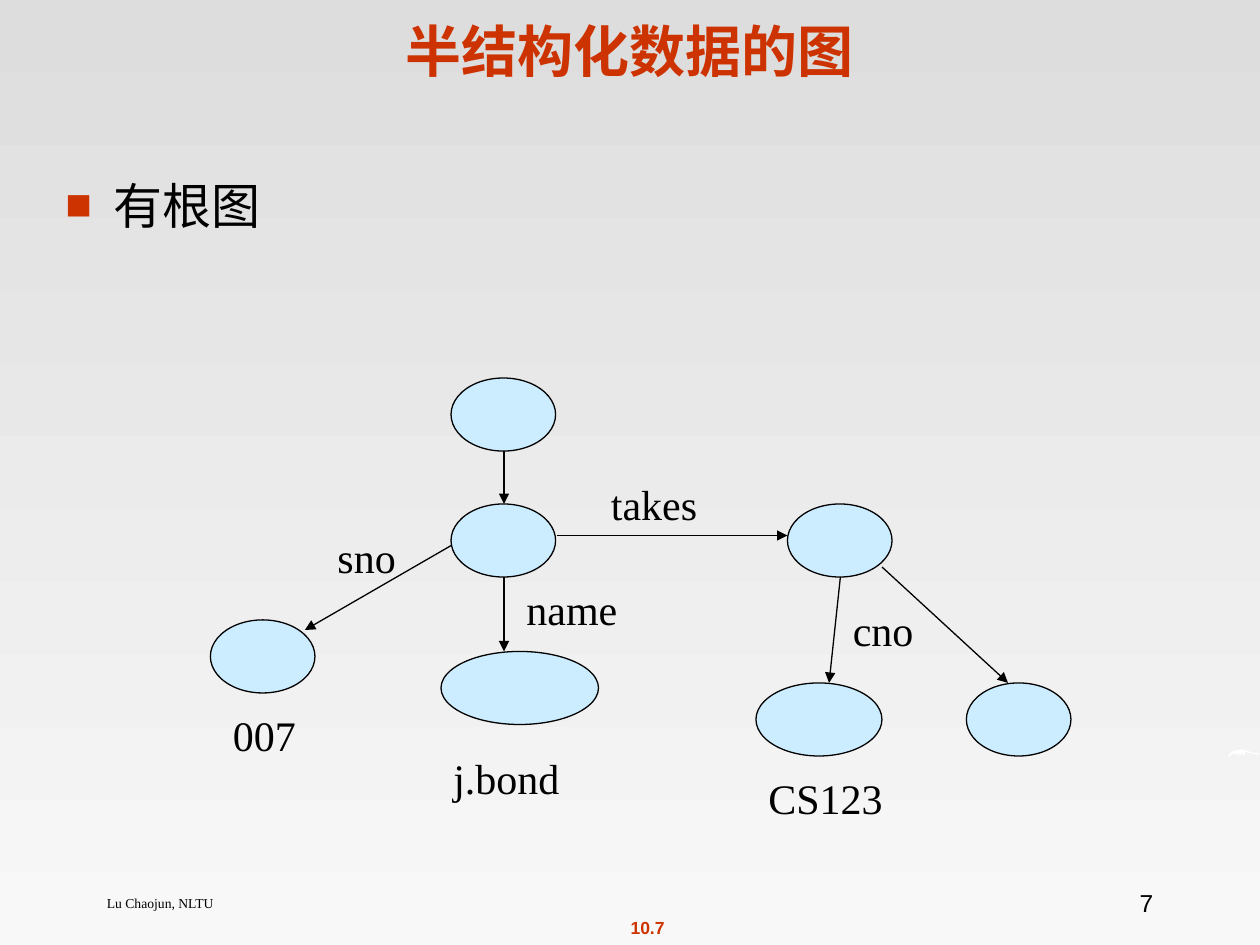
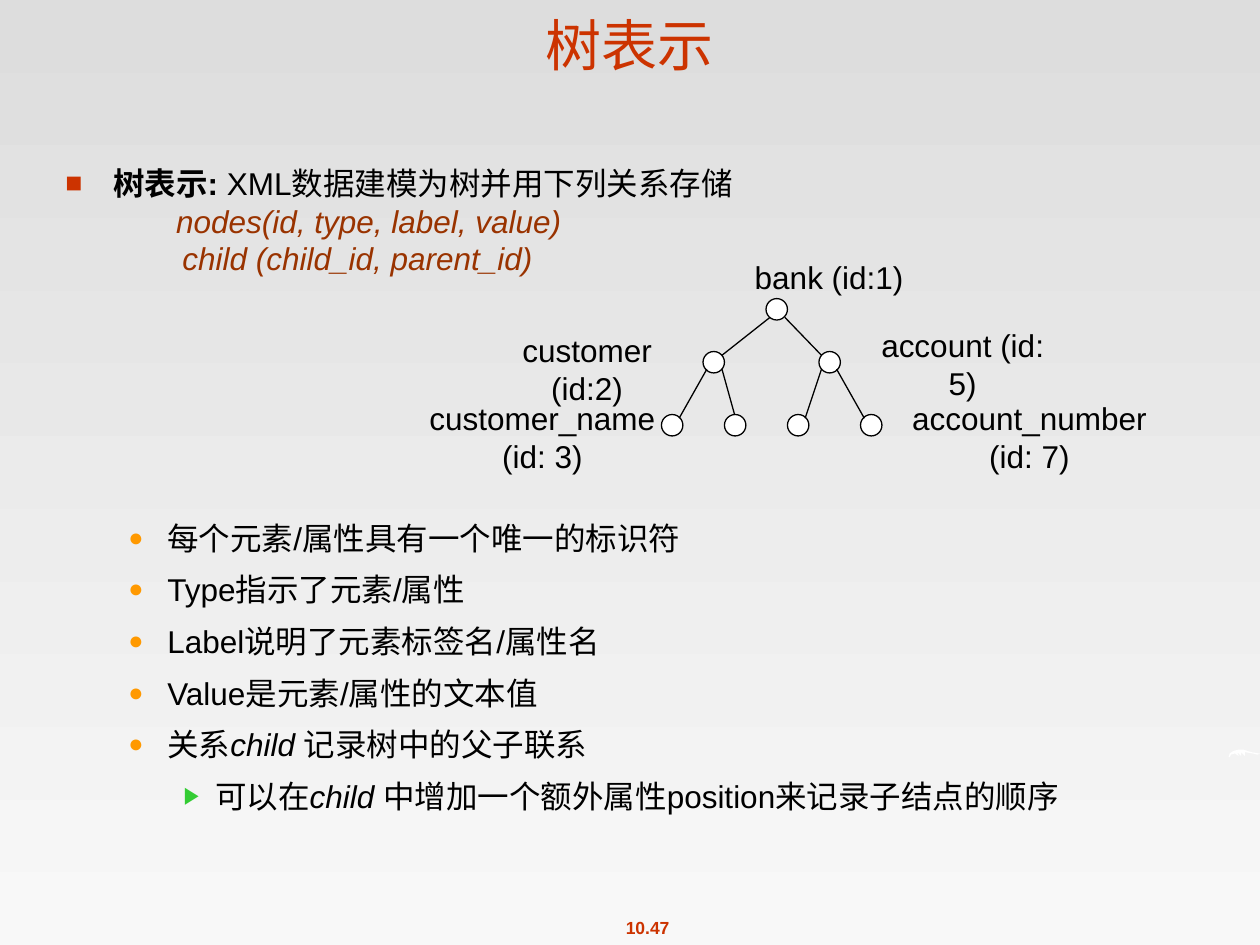
from lxml.etree import SubElement
from pptx import Presentation
from pptx.dml.color import RGBColor
from pptx.enum.shapes import MSO_CONNECTOR as CONNECTOR, MSO_SHAPE as SHAPE
from pptx.enum.text import MSO_ANCHOR as ANCHOR, MSO_AUTO_SIZE as AUTO_SIZE, PP_ALIGN as ALIGN
from pptx.oxml.ns import qn
from pptx.util import Inches, Pt

RED = RGBColor(0xCC, 0x33, 0x00)
BROWN = RGBColor(0x99, 0x33, 0x00)
ORANGE = RGBColor(0xFF, 0x99, 0x00)
GREEN = RGBColor(0x33, 0xCC, 0x33)
SKY = RGBColor(0xCC, 0xEC, 0xFF)
BLACK = RGBColor(0x00, 0x00, 0x00)
WHITE = RGBColor(0xFF, 0xFF, 0xFF)
GRAY_TOP = RGBColor(0xDD, 0xDD, 0xDD)
GRAY_BOTTOM = RGBColor(0xF8, 0xF8, 0xF8)

SANS = "Arial"
SERIF = "Times New Roman"
LINE_WIDTH = Pt(0.74)
BULLETS = [
    ("■", RED, 90, 0.38, -0.38),
    ("●", ORANGE, 80, 0.81, -0.31),
    ("▶", GREEN, 75, 1.19, -0.25),
]
SWOOSH = [
    (9.75, 6.01), (9.76, 5.98), (9.79, 5.96), (9.83, 5.95), (9.87, 5.95),
    (9.93, 5.97), (9.99, 5.98), (10, 5.98), (9.98, 5.99), (9.94, 5.98),
    (9.88, 5.97), (9.88, 6), (9.85, 5.97), (9.85, 6), (9.82, 5.97),
    (9.83, 6), (9.8, 5.98), (9.77, 5.99), (9.76, 6.01),
]


def inches(values):
    return [Inches(value) for value in values]


def write_text(paragraph, text, size=18, font=SANS, color=BLACK, bold=False,
               italic=False, align=ALIGN.LEFT, before=0, spacing=None):
    paragraph.alignment = align
    paragraph.space_before = Pt(before)
    if spacing:
        paragraph.line_spacing = spacing
    run = paragraph.add_run()
    run.text = text
    run.font.size = Pt(size)
    run.font.name = font
    run.font.color.rgb = color
    run.font.bold = bold
    run.font.italic = italic


def add_frame(shapes, box, wrap=True):
    frame = shapes.add_textbox(*inches(box)).text_frame
    frame.word_wrap = wrap
    return frame


def next_paragraph(frame):
    first = frame.paragraphs[0]
    return frame.add_paragraph() if first.runs else first


def add_label(shapes, box, text, wrap=True, **text_format):
    frame = add_frame(shapes, box, wrap)
    for line in text.split("\n"):
        write_text(next_paragraph(frame), line, **text_format)


def set_bullet(paragraph, level):
    char, color, percent, margin, indent = BULLETS[level]
    paragraph.level = level
    properties = paragraph._p.get_or_add_pPr()
    properties.set("marL", str(Inches(margin)))
    properties.set("indent", str(Inches(indent)))
    bullet_color = SubElement(properties, qn("a:buClr"))
    SubElement(bullet_color, qn("a:srgbClr"), val=str(color))
    SubElement(properties, qn("a:buSzPct"), val=str(percent * 1000))
    SubElement(properties, qn("a:buFont"), typeface=SANS)
    SubElement(properties, qn("a:buChar"), char=char)


def add_bullet(frame, level, parts, before=7.9, size=18):
    paragraph = next_paragraph(frame)
    for text, emphasis in parts:
        write_text(paragraph, text, size=size, before=before, **emphasis)
    set_bullet(paragraph, level)


def add_node(shapes, box, color):
    node = shapes.add_shape(SHAPE.OVAL, *inches(box))
    node.shadow.inherit = False
    node.fill.solid()
    node.fill.fore_color.rgb = color
    node.line.color.rgb = BLACK
    node.line.width = LINE_WIDTH


def add_edge(shapes, start, end, arrow=False):
    edge = shapes.add_connector(CONNECTOR.STRAIGHT, *inches(start + end))
    edge.line.color.rgb = BLACK
    edge.line.width = LINE_WIDTH
    if arrow:
        SubElement(edge.line._get_or_add_ln(), qn("a:tailEnd"), type="triangle")
    SubElement(edge._element.spPr, qn("a:effectLst"))


def add_swoosh(shapes):
    points = [tuple(inches(point)) for point in SWOOSH]
    builder = shapes.build_freeform(*points[0])
    builder.add_line_segments(points[1:], close=True)
    swoosh = builder.convert_to_shape()
    swoosh.shadow.inherit = False
    swoosh.fill.solid()
    swoosh.fill.fore_color.rgb = WHITE
    swoosh.line.fill.background()


def paint_background(master):
    fill = master.background.fill
    fill.gradient()
    fill.gradient_angle = 270
    for stop, color, position in zip(fill.gradient_stops, (GRAY_TOP, GRAY_BOTTOM), (0, 1)):
        stop.color.rgb = color
        stop.position = position


def add_slide(prs, title, page, height, anchor, bold):
    slide = prs.slides.add_slide(prs.slide_layouts[5])
    heading = slide.shapes.title
    heading.left, heading.top, heading.width, heading.height = inches((0, 0, 10, height))
    frame = heading.text_frame
    frame.auto_size = AUTO_SIZE.NONE
    frame.vertical_anchor = anchor
    write_text(frame.paragraphs[0], title, size=32, color=RED, bold=bold, align=ALIGN.CENTER)
    add_label(slide.shapes, (4.61, 7.23, 1.06, 0.27), page, wrap=False,
              size=10, color=RED, bold=True, align=ALIGN.CENTER)
    add_swoosh(slide.shapes)
    return slide.shapes


def build_graph_slide(prs):
    shapes = add_slide(prs, "半结构化数据的图", "10.7", 0.8, ANCHOR.MIDDLE, True)
    add_label(shapes, (0.75, 7.08, 5.8, 0.25), "Lu Chaojun, NLTU", size=7.8, font=SERIF, spacing=0.8)
    add_label(shapes, (7.17, 7, 2.08, 0.33), "7", size=14, align=ALIGN.RIGHT)
    add_bullet(add_frame(shapes, (0.42, 1.34, 9.25, 3.17)), 0, [("有根图", {})], size=28)

    nodes = [
        (3.58, 3, 0.83), (3.58, 4, 0.83), (6.25, 4, 0.83), (1.67, 4.92, 0.83),
        (3.5, 5.17, 1.25), (6, 5.42, 1), (7.67, 5.42, 0.83),
    ]
    for left, top, width in nodes:
        add_node(shapes, (left, top, width, 0.58), SKY)

    arrows = [
        ((4, 3.58), (4, 4)), ((3.58, 4.33), (2.42, 5)), ((4.42, 4.25), (6.25, 4.25)),
        ((4, 4.58), (4, 5.17)), ((6.67, 4.58), (6.58, 5.42)), ((7, 4.5), (8, 5.42)),
    ]
    for start, end in arrows:
        add_edge(shapes, start, end, arrow=True)

    labels = [
        ("sno", 2.58, 4.17, 0.75), ("007", 1.75, 5.58, 0.75), ("j.bond", 3.5, 5.92, 1.17),
        ("takes", 4.75, 3.75, 1.42), ("name", 4.08, 4.58, 1.08), ("cno", 6.67, 4.75, 0.75),
        ("CS123", 6, 6.08, 1.17),
    ]
    for text, left, top, width in labels:
        add_label(shapes, (left, top, width, 0.5), text, size=24, font=SERIF)


def add_tree(shapes):
    tree = shapes.add_group_shape().shapes
    levels = [(2.37, (6.08,)), (2.79, (5.58, 6.5)), (3.29, (5.25, 5.75, 6.25, 6.83))]
    for top, lefts in levels:
        for left in lefts:
            add_node(tree, (left, top, 0.17, 0.17), WHITE)

    branches = [
        ((5.73, 2.82), (6.11, 2.52)), ((6.23, 2.52), (6.52, 2.82)),
        ((5.39, 3.32), (5.61, 2.93)), ((5.73, 2.93), (5.83, 3.29)),
        ((6.52, 2.93), (6.39, 3.32)), ((6.64, 2.93), (6.86, 3.32)),
    ]
    for start, end in branches:
        add_edge(tree, start, end)

    labels = [
        ("bank (id:1)", (5.89, 2, 1.38, 0.4)),
        ("customer (id:2)", (3.73, 2.58, 1.86, 0.4)),
        ("account (id: 5)", (6.75, 2.54, 1.78, 0.4)),
        ("customer_name\n(id: 3)", (3.31, 3.12, 1.99, 0.7)),
        ("account_number\n(id: 7)", (7.14, 3.12, 2.06, 0.7)),
    ]
    for text, box in labels:
        add_label(tree, box, text, wrap=False, align=ALIGN.CENTER)


def build_tree_slide(prs):
    shapes = add_slide(prs, "树表示", "10.47", 0.67, ANCHOR.BOTTOM, False)
    body = add_frame(shapes, (0.42, 1.25, 9.17, 5.78))
    italic = {"italic": True}
    add_bullet(body, 0, [("树表示: ", {"bold": True}), ("XML数据建模为树并用下列关系存储", {})])
    relations = [("nodes(id, type, label, value)", 0.88), ("child (child_id, parent_id)", 0.93)]
    for relation, margin in relations:
        paragraph = next_paragraph(body)
        write_text(paragraph, relation, color=BROWN, italic=True)
        paragraph._p.get_or_add_pPr().set("marL", str(Inches(margin)))

    add_bullet(body, 1, [("每个元素/属性具有一个唯一的标识符", {})], before=138)
    for text in ("Type指示了元素/属性", "Label说明了元素标签名/属性名", "Value是元素/属性的文本值"):
        add_bullet(body, 1, [(text, {})])
    add_bullet(body, 1, [("关系", {}), ("child ", italic), ("记录树中的父子联系", {})])
    add_bullet(body, 2, [("可以在", {}), ("child ", italic),
                         ("中增加一个额外属性position来记录子结点的顺序", {})])
    add_tree(shapes)


def main():
    prs = Presentation()
    prs.slide_width, prs.slide_height = inches((10, 7.5))
    paint_background(prs.slide_master)
    build_graph_slide(prs)
    build_tree_slide(prs)
    prs.save("out.pptx")


main()
